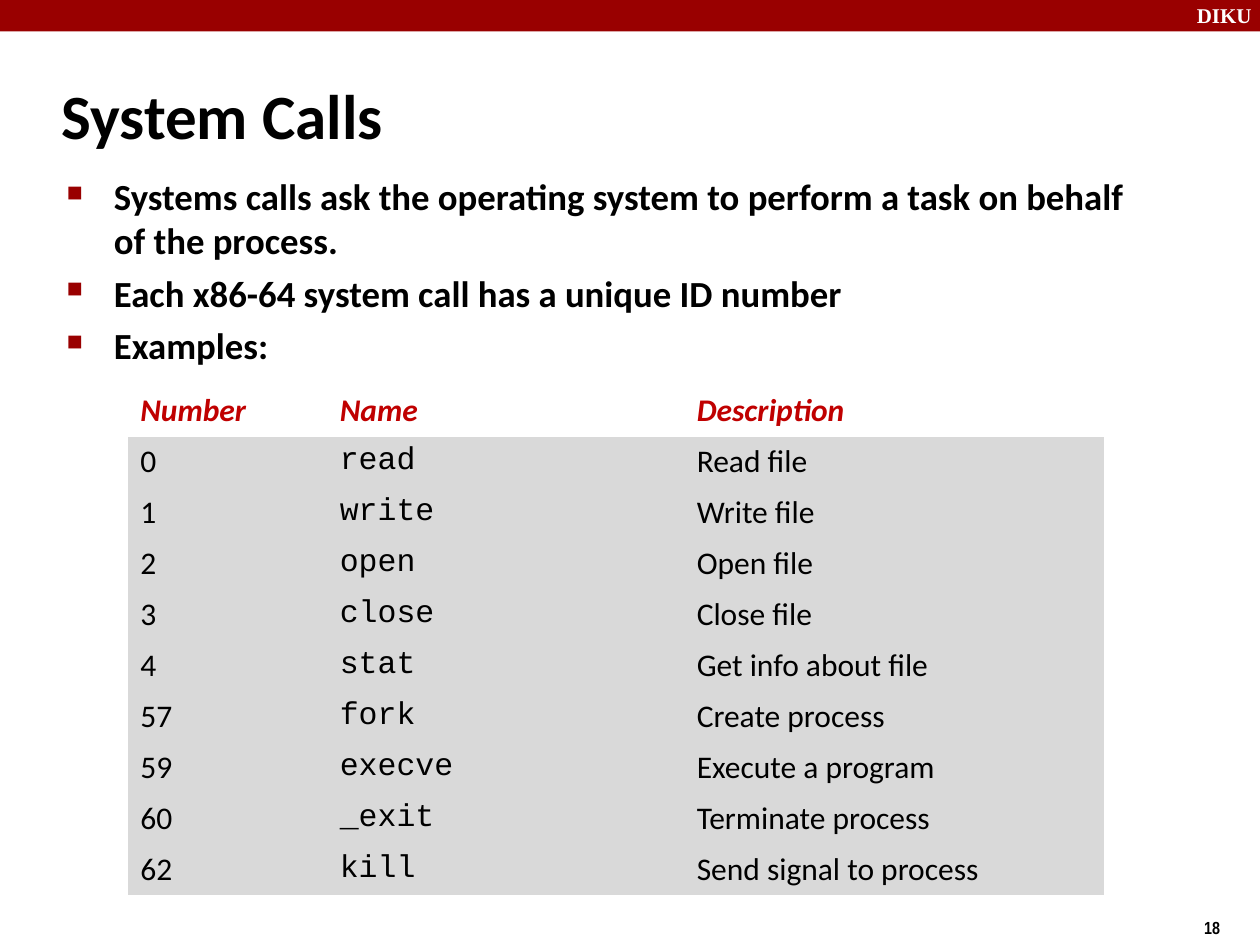
from lxml import etree
from pptx import Presentation
from pptx.dml.color import RGBColor
from pptx.enum import shapes, text
from pptx.oxml import ns
from pptx.util import Pt

COLORS = {"band": "990000", "heading": "C00000", "rows": "D9D9D9",
          "ink": "000000", "paper": "FFFFFF"}


def style(paragraph, color, **formats):
    for name, value in formats.items():
        setattr(paragraph.font, name, value)
    paragraph.font.color.rgb = RGBColor.from_string(COLORS[color])


def add_text(box, lines, wrap=True, anchor=text.MSO_ANCHOR.TOP):
    frame = slide.shapes.add_textbox(*map(Pt, box)).text_frame
    frame.word_wrap = wrap
    frame.vertical_anchor = anchor
    frame.text = "\n".join(lines)
    return frame.paragraphs


prs = Presentation()
prs.slide_width, prs.slide_height = Pt(720), Pt(540)
slide = prs.slides.add_slide(prs.slide_layouts[6])

band = slide.shapes.add_shape(shapes.MSO_SHAPE.RECTANGLE, 0, 0, Pt(720), Pt(18))
band.shadow.inherit = False
band.fill.solid()
band.fill.fore_color.rgb = RGBColor.from_string(COLORS["band"])
band.line.fill.background()

department = add_text((676.8, -2, 48, 21.6), ["DIKU"])
style(department[0], "paper", name="Times New Roman", size=Pt(12), bold=True)

page_number = add_text((681, 520.5, 54, 19.5), ["18"], wrap=False)
style(page_number[0], "ink", name="Arial Narrow", size=Pt(10), bold=True)

title = add_text((28, 35.5, 597.6, 60), ["System Calls"], anchor=text.MSO_ANCHOR.MIDDLE)
style(title[0], "ink", name="Calibri", size=Pt(36), bold=True)

calls = [
    ("Number", "Name", "Description"),
    ("0", "read", "Read file"),
    ("1", "write", "Write file"),
    ("2", "open", "Open file"),
    ("3", "close", "Close file"),
    ("4", "stat", "Get info about file"),
    ("57", "fork", "Create process"),
    ("59", "execve", "Execute a program"),
    ("60", "_exit", "Terminate process"),
    ("62", "kill", "Send signal to process"),
]
call_frame = slide.shapes.add_table(len(calls), 3, Pt(73), Pt(220.3), Pt(558), Pt(291.6))
call_table = call_frame.table
call_table.first_row = call_table.horz_banding = False
style_id = call_frame._element.find(".//" + ns.qn("a:tableStyleId"))
style_id.text = "{2D5ABB26-0587-4C30-8999-92F81FD0307C}"
for column, width in zip(call_table.columns, (114, 204, 240)):
    column.width = Pt(width)
for r, call in enumerate(calls):
    call_table.rows[r].height = Pt(29.16)
    is_heading = r == 0
    for c, value in enumerate(call):
        cell = call_table.cell(r, c)
        cell.text = value
        cell.fill.solid()
        cell.fill.fore_color.rgb = RGBColor.from_string(
            COLORS["paper" if is_heading else "rows"])
        font_name = "Courier New" if c == 1 and not is_heading else "Calibri"
        style(cell.text_frame.paragraphs[0], "heading" if is_heading else "ink",
              name=font_name, size=Pt(18), bold=is_heading, italic=is_heading)

points = add_text((31, 95.8, 622, 419.8), [
    "Systems calls ask the operating system to perform a task on behalf of the process.",
    "Each x86-64 system call has a unique ID number",
    "Examples:",
])
for i, point in enumerate(points):
    properties = point._p.get_or_add_pPr()
    properties.set("marL", str(Pt(27)))
    properties.set("indent", str(Pt(-27)))
    bullet_color = etree.SubElement(properties, ns.qn("a:buClr"))
    etree.SubElement(bullet_color, ns.qn("a:srgbClr"), val=COLORS["band"])
    etree.SubElement(properties, ns.qn("a:buSzPct"), val="60000")
    etree.SubElement(properties, ns.qn("a:buChar"), char="■")
    if i:
        point.space_before = Pt(4.8)
    style(point, "ink", name="Calibri", size=Pt(21), bold=True)

prs.save("out.pptx")
